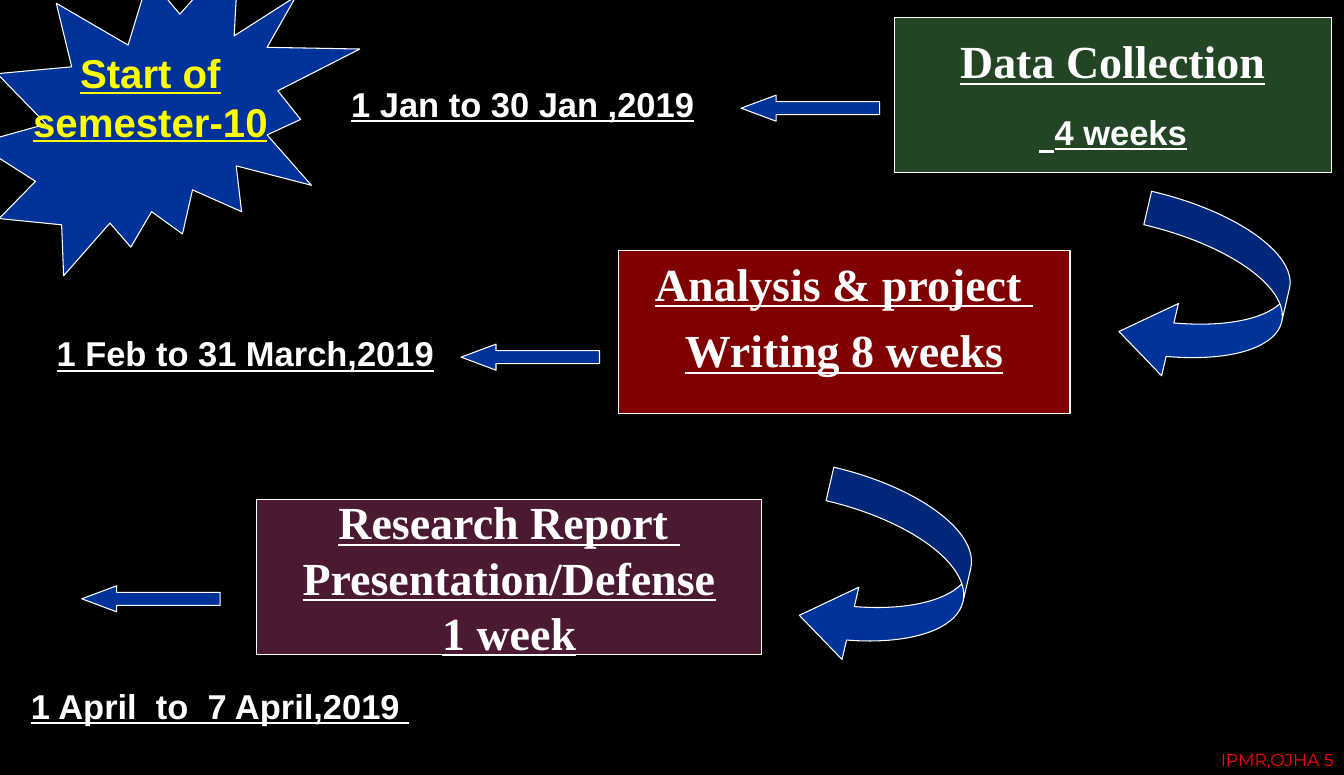
from dataclasses import dataclass

from lxml import etree
from pptx import Presentation
from pptx.dml.color import RGBColor
from pptx.enum.shapes import MSO_SHAPE
from pptx.enum.text import MSO_ANCHOR, PP_ALIGN
from pptx.oxml.ns import qn
from pptx.util import Cm, Pt

RECTANGLE = MSO_SHAPE.RECTANGLE
LEFT_ARROW = MSO_SHAPE.LEFT_ARROW
CURVED_ARROW = MSO_SHAPE.CURVED_LEFT_ARROW
BURST = MSO_SHAPE.EXPLOSION2
LEFT, CENTER, RIGHT = PP_ALIGN.LEFT, PP_ALIGN.CENTER, PP_ALIGN.RIGHT
TOP, MIDDLE, BOTTOM = MSO_ANCHOR.TOP, MSO_ANCHOR.MIDDLE, MSO_ANCHOR.BOTTOM


@dataclass(frozen=True)
class Theme:
    background: str = "000000"
    text: str = "FFFFFF"
    outline: str = "FFFFFF"
    arrow: str = "003399"
    collection: str = "468A4B"
    analysis: str = "FF0000"
    report: str = "993366"
    highlight: str = "FFFF00"
    footer: str = "FF0000"
    serif: str = "Times New Roman"
    sans: str = "Arial"
    footer_font: str = "Montserrat"
    heading_size: int = 32
    label_size: int = 24
    start_size: int = 28
    footer_size: int = 12
    gap_size: int = 40


THEME = Theme()


@dataclass(frozen=True)
class Style:
    font: str
    size: int
    color: str = THEME.text
    strong: bool = True  # bold and underlined


HEADING = Style(THEME.serif, THEME.heading_size)
LABEL = Style(THEME.sans, THEME.label_size)
GAP = Style(THEME.sans, THEME.gap_size)
START = Style(THEME.sans, THEME.start_size, THEME.highlight)
FOOTER = Style(THEME.footer_font, THEME.footer_size, THEME.footer, False)


def write_text(box, paras, align, anchor, wrap=True, space_before=0):
    """Fill a shape; each paragraph is a list of (text, style) runs."""
    frame = box.text_frame
    frame.word_wrap = wrap
    frame.vertical_anchor = anchor
    for index, runs in enumerate(paras):
        para = frame.add_paragraph() if index else frame.paragraphs[0]
        para.alignment = align
        para.space_before = Pt(space_before)
        for text, style in runs:
            span = para.add_run()
            span.text = text
            span.font.name = style.font
            span.font.size = Pt(style.size)
            span.font.bold = span.font.underline = style.strong
            span.font.color.rgb = RGBColor.from_string(style.color)


def add_figure(page, kind, place, color, adjustments=(), rotation=0):
    """Add an outlined preset shape."""
    figure = page.shapes.add_shape(kind, *map(Cm, place))
    figure.shadow.inherit = False
    figure.fill.solid()
    figure.fill.fore_color.rgb = RGBColor.from_string(color)
    figure.line.color.rgb = RGBColor.from_string(THEME.outline)
    figure.line.width = Pt(0.75)
    figure.rotation = rotation
    for index, value in enumerate(adjustments):
        figure.adjustments[index] = value
    return figure


def add_stage(page, place, color, paras, **layout):
    """Add a half-transparent box for one project stage."""
    box = add_figure(page, RECTANGLE, place, color)
    tint = box.fill._xPr.find(qn("a:solidFill"))[0]
    etree.SubElement(tint, qn("a:alpha"), val="50000")
    write_text(box, paras, CENTER, **layout)


def add_label(page, place, text, style, align=LEFT, anchor=TOP):
    box = page.shapes.add_textbox(*map(Cm, place))
    write_text(box, [[(text, style)]], align, anchor)


def main():
    deck = Presentation()
    deck.slide_width, deck.slide_height = Cm(33.02), Cm(19.05)
    page = deck.slides.add_slide(deck.slide_layouts[6])
    page.background.fill.solid()
    page.background.fill.fore_color.rgb = RGBColor.from_string(THEME.background)

    # Project stages
    add_stage(page, (21.97, 0.43, 10.74, 3.81), THEME.collection,
              [[("Data Collection", HEADING)], [(" ", GAP), ("4 weeks", LABEL)]],
              anchor=MIDDLE, wrap=False)
    add_stage(page, (15.19, 6.15, 11.1, 4.01), THEME.analysis,
              [[("Analysis & project ", HEADING)], [("Writing 8 weeks", HEADING)]],
              anchor=TOP, space_before=8)
    add_stage(page, (6.3, 12.27, 12.42, 3.81), THEME.report,
              [[("Research Report ", HEADING)], [("Presentation/Defense", HEADING)],
               [("1 week", HEADING)]],
              anchor=MIDDLE, wrap=False)

    # Curved arrows from one stage to the next
    for left, top, height in ((27.74, 5.08, 4.45), (19.91, 11.86, 4.65)):
        add_figure(page, CURVED_ARROW, (left, top, 3.84, height), THEME.arrow,
                   (0.22, 0.475, 0.33), 13.1)

    # Straight arrows from stages to dates
    for left, top in ((18.21, 2.34), (11.33, 8.46), (2.01, 14.4)):
        add_figure(page, LEFT_ARROW, (left, top, 3.4, 0.64), THEME.arrow, (0.5, 1.34))

    # Dates
    for left, top, width, text in (
        (8.38, 1.91, 10.24, "1 Jan to 30 Jan ,2019"),
        (1.14, 8.05, 10.67, "1 Feb to 31 March,2019"),
        (0.51, 16.71, 11.3, "1 April  to  7 April,2019 "),
    ):
        add_label(page, (left, top, width, 1.27), text, LABEL)

    # Footer
    add_label(page, (25.32, 17.78, 7.7, 1.27), "IPMR,OJHA 5", FOOTER, RIGHT, BOTTOM)

    # Semester start
    add_figure(page, BURST, (-0.58, -1.27, 9.42, 8.05), THEME.arrow)
    add_label(page, (0.2, 1.07, 6.99, 2.64), "Start of semester-10", START, CENTER)

    deck.save("out.pptx")


if __name__ == "__main__":
    main()
